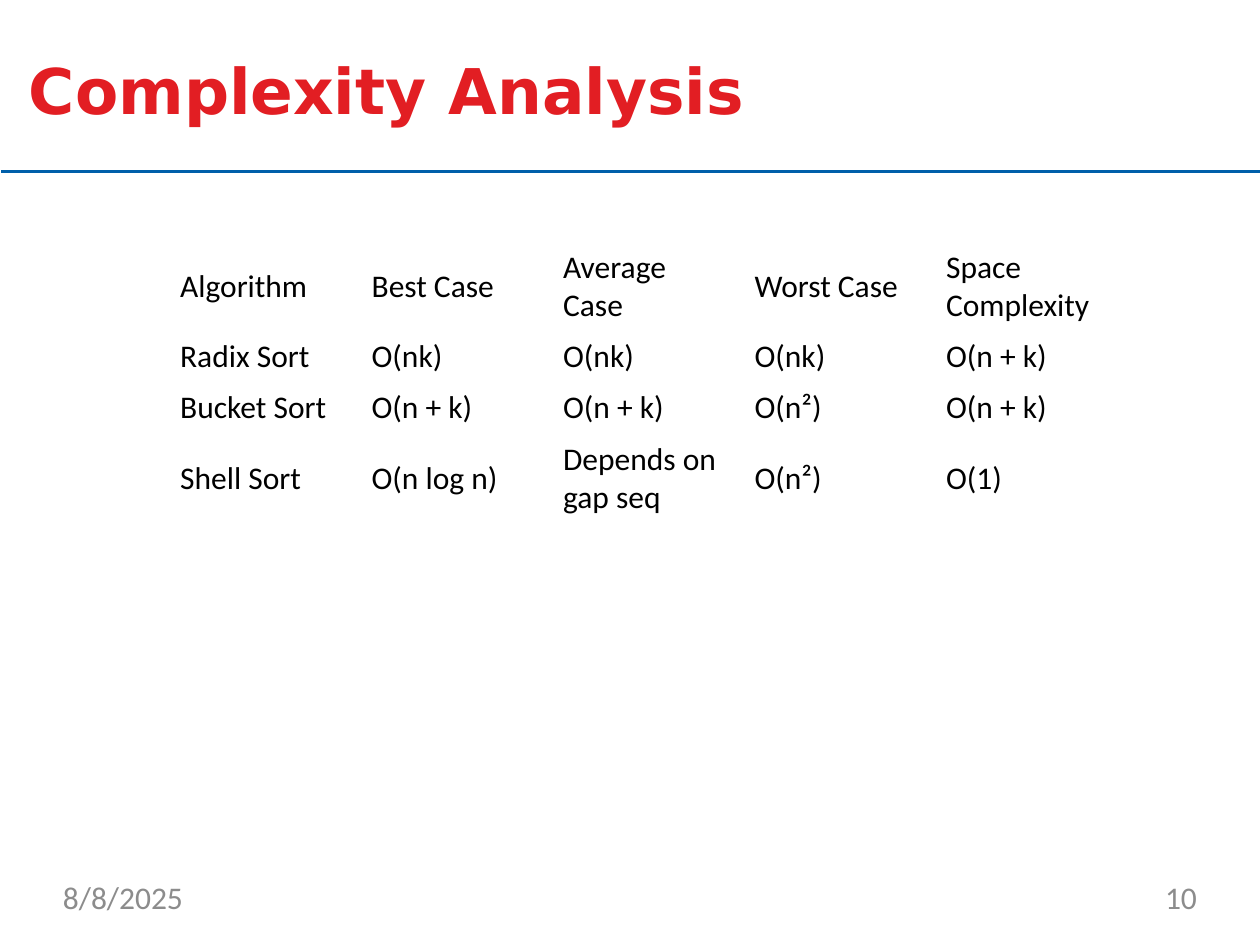
from pptx import Presentation
from pptx.dml.color import RGBColor
from pptx.enum.text import MSO_ANCHOR as Anchor, MSO_AUTO_SIZE as AutoSize, PP_ALIGN as Align
from pptx.util import Inches, Pt

RED = RGBColor(0xE2, 0x1E, 0x23)
BLUE = RGBColor(0x00, 0x5F, 0xAA)
GRAY = RGBColor(0x8C, 0x8C, 0x8C)
BLACK = RGBColor(0x00, 0x00, 0x00)

COMPLEXITIES = [
    ["Algorithm", "Best Case", "Average Case", "Worst Case", "Space Complexity"],
    ["Radix Sort", "O(nk)", "O(nk)", "O(nk)", "O(n + k)"],
    ["Bucket Sort", "O(n + k)", "O(n + k)", "O(n²)", "O(n + k)"],
    ["Shell Sort", "O(n log n)", "Depends on gap seq", "O(n²)", "O(1)"],
]
ROW_HEIGHTS = [0.7, 0.4, 0.4, 0.7]
COLUMN_WIDTH = 1.52


def write_text(frame, text, *, size=18, font="Calibri", color=BLACK, bold=False, align=Align.LEFT):
    """Write one formatted paragraph into a text frame."""
    paragraph = frame.paragraphs[0]
    paragraph.alignment = align
    run = paragraph.add_run()
    run.text = text
    run.font.size = Pt(size)
    run.font.name = font
    run.font.bold = bold
    run.font.color.rgb = color
    return paragraph


def set_frame(frame, top_inset=0):
    """Give a text frame wrapping, top anchoring and tight margins."""
    frame.word_wrap = True
    frame.auto_size = AutoSize.NONE
    frame.vertical_anchor = Anchor.TOP
    frame.margin_left = frame.margin_right = frame.margin_bottom = 0
    frame.margin_top = Inches(top_inset)


def add_title(slide, text):
    """Place and format the title placeholder."""
    title = slide.shapes.title
    title.left, title.top = Inches(0.16), Inches(0.08)
    title.width, title.height = Inches(9.05), Inches(0.94)
    set_frame(title.text_frame, top_inset=0.33)
    heading = write_text(title.text_frame, text, size=36, font="DejaVu Sans", color=RED, bold=True)
    heading.space_before = Pt(1.1)
    heading._p.get_or_add_pPr().set("marL", str(Inches(0.07)))


def add_rule(slide):
    """Draw the thin band below the title."""
    left, top, right, bottom = (Inches(n) for n in (0.01, 1.35, 10, 1.37))
    outline = slide.shapes.build_freeform(right, top)
    outline.add_line_segments([(left, top), (left, bottom), (right, bottom)], close=True)
    rule = outline.convert_to_shape()
    rule.shadow.inherit = False
    rule.fill.solid()
    rule.fill.fore_color.rgb = BLUE
    rule.line.fill.background()


def add_footer(slide, text, left, align):
    """Add a gray footer text at the given left edge."""
    footer = slide.shapes.add_textbox(Inches(left), Inches(6.97), Inches(2.3), Inches(0.38))
    set_frame(footer.text_frame)
    write_text(footer.text_frame, text, color=GRAY, align=align)


def add_complexity_table(slide):
    """Add the unfilled table of sorting complexities."""
    columns = len(COMPLEXITIES[0])
    table = slide.shapes.add_table(
        len(COMPLEXITIES), columns, Inches(1.33), Inches(1.92),
        Inches(columns * COLUMN_WIDTH), Inches(sum(ROW_HEIGHTS)),
    ).table
    table.first_row = table.horz_banding = False
    style = table._tbl.tblPr.find("{*}tableStyleId")
    style.text = "{2D5ABB26-0587-4C30-8999-92F81FD0307C}"
    for column in table.columns:
        column.width = Inches(COLUMN_WIDTH)
    for row, height, entries in zip(table.rows, ROW_HEIGHTS, COMPLEXITIES):
        row.height = Inches(height)
        for cell, entry in zip(row.cells, entries):
            cell.fill.background()
            cell.vertical_anchor = Anchor.MIDDLE
            write_text(cell.text_frame, entry)


def main():
    """Build and save the complexity slide."""
    deck = Presentation()
    deck.slide_width, deck.slide_height = Inches(10), Inches(7.5)
    slide = deck.slides.add_slide(deck.slide_layouts[5])
    add_rule(slide)
    add_title(slide, "Complexity Analysis")
    add_footer(slide, "8/8/2025", 0.5, Align.LEFT)
    add_footer(slide, "10", 7.2, Align.RIGHT)
    add_complexity_table(slide)
    deck.save("out.pptx")


if __name__ == "__main__":
    main()
